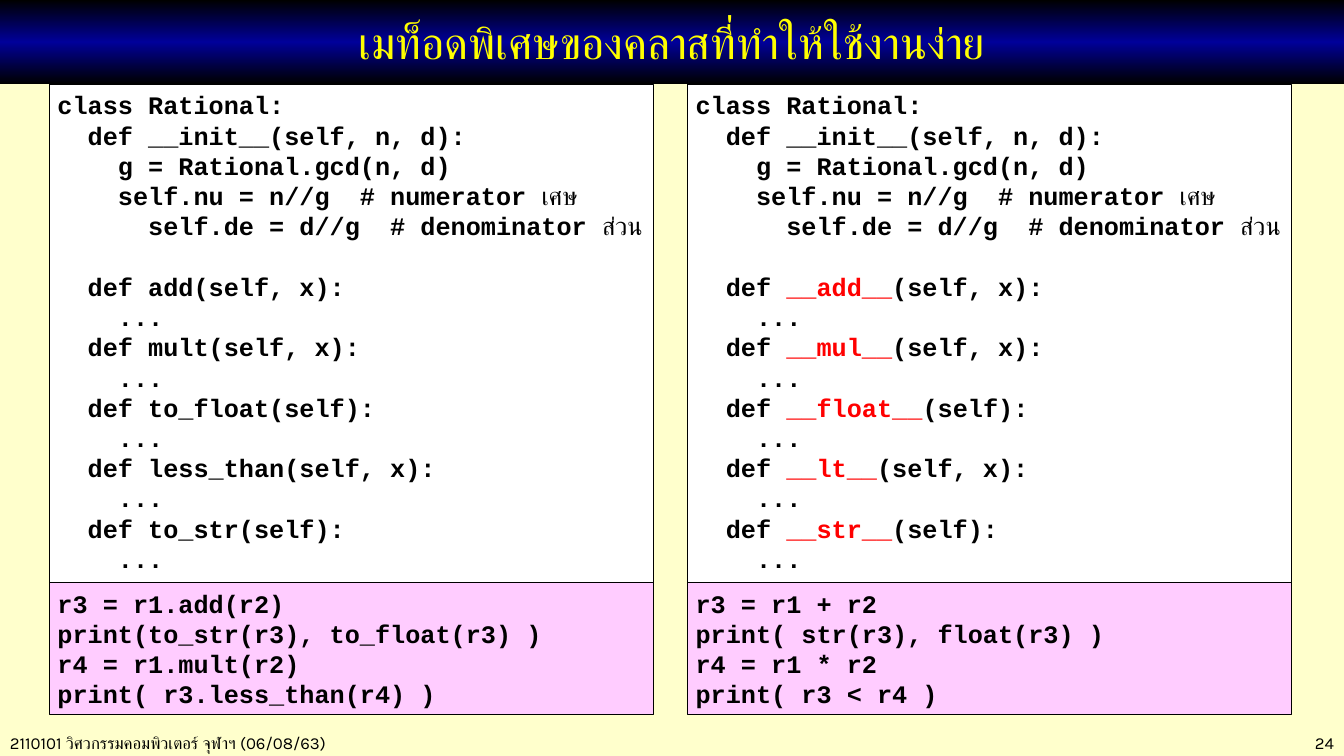
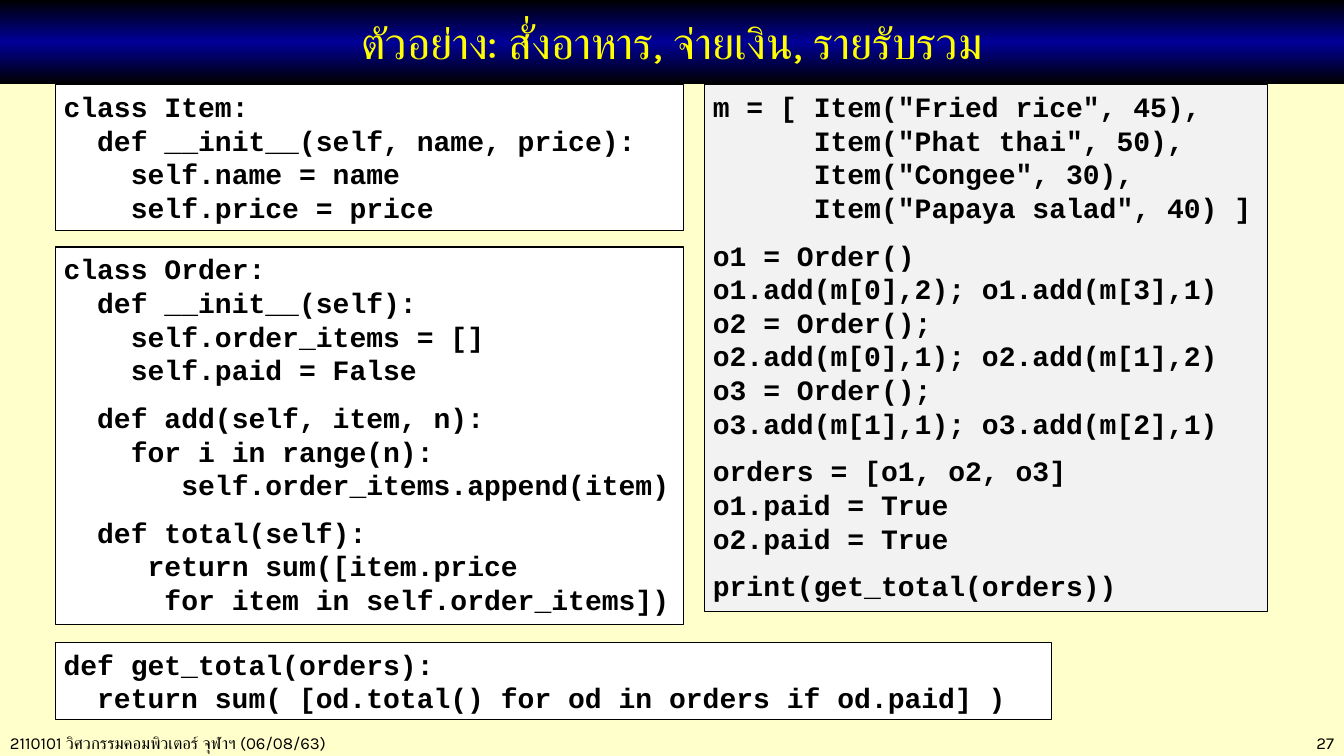
from copy import deepcopy

from pptx import Presentation, util as u
from pptx.dml.color import RGBColor
from pptx.enum import shapes, text
from pptx.oxml.ns import qn

# Shared look
WIDTH, HEIGHT = u.Inches(13.33), u.Inches(7.5)
CREAM, WHITE, GREY, PINK = "FFFFCC", "FFFFFF", "F2F2F2", "FFCCFF"
BLACK, NAVY, YELLOW, RED = "000000", "000099", "FFFF00", "FF0000"
BODY_FONT, CODE_FONT = "Karla", "Courier New"
FOOTER = "2110101 วิศวกรรมคอมพิวเตอร์ จุฬาฯ (06/08/63)"
LEFT, CENTER, RIGHT = text.PP_ALIGN.LEFT, text.PP_ALIGN.CENTER, text.PP_ALIGN.RIGHT
TITLE_ONLY = 5
LINE_PITCH = 1.2  # line height as a multiple of the text size
BAND_HEIGHT = 11.1
TOP = 11.2


def place(left, top, width, height):
    """Turn percentages of the slide into lengths."""
    return (round(WIDTH * left / 100), round(HEIGHT * top / 100),
            round(WIDTH * width / 100), round(HEIGHT * height / 100))


def write(box, content, font=BODY_FONT, size=12, color=BLACK, bold=False,
          align=LEFT, anchor=text.MSO_ANCHOR.MIDDLE, pitch=None, gap=0):
    """Write lines; a blank line becomes a gap, and |bars| mark a Thai word or a red name."""
    frame = box.text_frame
    frame.word_wrap = True
    frame.vertical_anchor = anchor
    para, space = frame.paragraphs[0], 0
    for number, line in enumerate(content.split("\n")):
        if not line:
            space = gap
            continue
        if number:
            para = frame.add_paragraph()
        para.alignment = align
        para.space_before = u.Pt(space)
        space = 0
        if pitch:
            para.line_spacing = u.Pt(size * pitch)
        for index, part in enumerate(line.split("|")):
            if not part:
                continue
            span = para.add_run()
            span.text = part
            marked = index % 2 == 1
            special = marked and part.startswith("__")
            span.font.name = font
            span.font.size = u.Pt(size)
            span.font.bold = bold and (special or not marked)
            span.font.color.rgb = RGBColor.from_string(RED if special else color)


# Slide 1: the same class with plain and with special method names
RATIONAL = """class Rational:
  def __init__(self, n, d):
    g = Rational.gcd(n, d)
    self.nu = n//g  # numerator |เศษ|
      self.de = d//g  # denominator |ส่วน|
"""
PARAMETERS = ["self, x", "self, x", "self", "self, x", "self"]
PLAIN_NAMES = ["add", "mult", "to_float", "less_than", "to_str"]
SPECIAL_NAMES = ["|__add__|", "|__mul__|", "|__float__|", "|__lt__|", "|__str__|"]
PLAIN_USE = """r3 = r1.add(r2)
print(to_str(r3), to_float(r3) )
r4 = r1.mult(r2)
print( r3.less_than(r4) )"""
SPECIAL_USE = """r3 = r1 + r2
print( str(r3), float(r3) )
r4 = r1 * r2
print( r3 < r4 )"""

rational_blocks = []
for left, names, usage in [(3.68, PLAIN_NAMES, PLAIN_USE),
                           (51.16, SPECIAL_NAMES, SPECIAL_USE)]:
    methods = [f"  def {name}({parameters}):\n    ..."
               for name, parameters in zip(names, PARAMETERS)]
    rational_blocks += [
        ((left, TOP, 44.94, 66), WHITE, "\n".join([RATIONAL, *methods])),
        ((left, 77.1, 44.94, 17.47), PINK, usage),
    ]

# Slide 2: classes, their use and the total
ITEM = """class Item:
  def __init__(self, name, price):
    self.name = name
    self.price = price"""
ORDER = """class Order:
  def __init__(self):
    self.order_items = []
    self.paid = False

  def add(self, item, n):
    for i in range(n):
       self.order_items.append(item)

  def total(self):
     return sum([item.price
      for item in self.order_items])"""
TOTAL = """def get_total(orders):
  return sum( [od.total() for od in orders if od.paid] )"""
MENU = """m = [ Item("Fried rice", 45),
      Item("Phat thai", 50),
      Item("Congee", 30),
      Item("Papaya salad", 40) ]

o1 = Order()
o1.add(m[0],2); o1.add(m[3],1)
o2 = Order();
o2.add(m[0],1); o2.add(m[1],2)
o3 = Order();
o3.add(m[1],1); o3.add(m[2],1)

orders = [o1, o2, o3]
o1.paid = True
o2.paid = True

print(get_total(orders))"""
order_blocks = [
    ((4.13, TOP, 46.74, 19.33), WHITE, ITEM),
    ((4.13, 32.67, 46.74, 50), WHITE, ORDER),
    ((4.13, 84.93, 74.12, 10.27), WHITE, TOTAL),
    ((52.44, TOP, 41.86, 69.73), GREY, MENU),
]

# Title, page number, code size, gap for a blank line, code blocks
PAGES = [
    ("เมท็อดพิเศษของคลาสที่ทำให้ใช้งานง่าย", "24", 18, 18 * LINE_PITCH, rational_blocks),
    ("ตัวอย่าง: สั่งอาหาร, จ่ายเงิน, รายรับรวม", "27", 20, 10, order_blocks),
]

deck = Presentation()
deck.slide_width, deck.slide_height = WIDTH, HEIGHT
backdrop = deck.slide_master.background.fill
backdrop.solid()
backdrop.fore_color.rgb = RGBColor.from_string(CREAM)

for title, page_number, code_size, gap, blocks in PAGES:
    page = deck.slides.add_slide(deck.slide_layouts[TITLE_ONLY])

    # Title band with a three-stop gradient
    band = page.shapes.title
    band.left, band.top, band.width, band.height = place(0, 0, 100, BAND_HEIGHT)
    band.fill.gradient()
    band.fill.gradient_angle = 90
    stops = band._element.spPr.find(".//" + qn("a:gsLst"))
    stops.append(deepcopy(stops[-1]))
    for stop, position, color in zip(band.fill.gradient_stops, (0, 0.5, 1),
                                     (BLACK, NAVY, BLACK)):
        stop.position = position
        stop.color.rgb = RGBColor.from_string(color)
    write(band, title, size=32, color=YELLOW, align=CENTER)

    # Footer
    for left, width, content, align in [(0, 39, FOOTER, LEFT),
                                        (86.2, 13.8, page_number, RIGHT)]:
        footer = page.shapes.add_textbox(*place(left, 96.27, width, 4))
        write(footer, content, align=align)

    # Code blocks
    for area, color, code in blocks:
        box = page.shapes.add_shape(shapes.MSO_SHAPE.RECTANGLE, *place(*area))
        box.shadow.inherit = False
        box.fill.solid()
        box.fill.fore_color.rgb = RGBColor.from_string(color)
        box.line.color.rgb = RGBColor.from_string(BLACK)
        box.line.width = u.Pt(0.75)
        box.text_frame.margin_left = u.Inches(0.08)
        box.text_frame.margin_right = 0
        write(box, code, font=CODE_FONT, size=code_size, bold=True,
              anchor=text.MSO_ANCHOR.TOP, pitch=LINE_PITCH, gap=gap)

deck.save("out.pptx")
